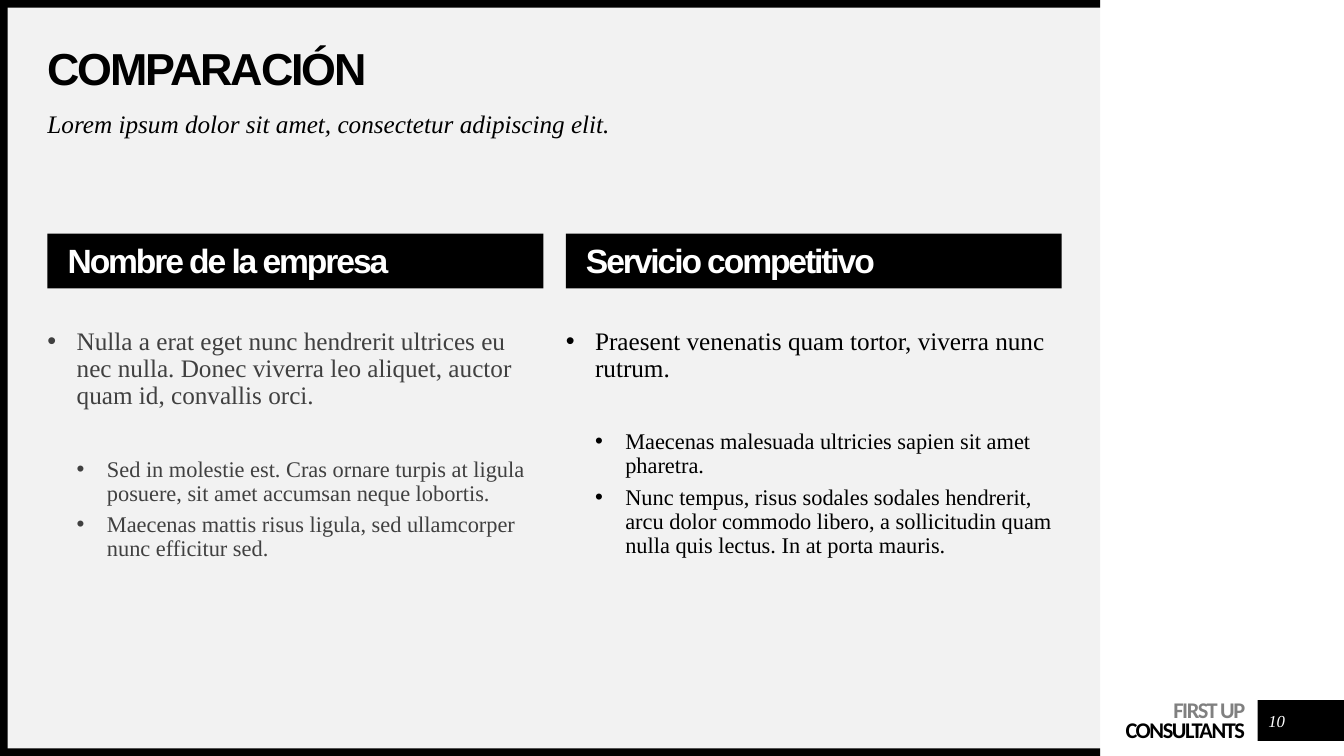
from pptx import Presentation
from pptx.dml.color import RGBColor
from pptx.enum.shapes import MSO_SHAPE as Shape
from pptx.enum.text import MSO_ANCHOR as Anchor, MSO_AUTO_SIZE as Fit, PP_ALIGN as Align
from pptx.oxml.ns import qn
from pptx.util import Inches, Pt
from lxml.etree import SubElement

BLACK = RGBColor(0x00, 0x00, 0x00)
WHITE = RGBColor(0xFF, 0xFF, 0xFF)
PALE = RGBColor(0xF2, 0xF2, 0xF2)
GRAY = RGBColor(0x80, 0x80, 0x80)
DARK = RGBColor(0x40, 0x40, 0x40)
SANS, SERIF, BRAND = "Arial", "Times New Roman", "Calibri"
WIDE, HIGH = Inches(13.33), Inches(7.5)

LEFT = (
    "Nombre de la empresa", DARK,
    ["Nulla a erat eget nunc hendrerit ultrices eu nec nulla. "
     "Donec viverra leo aliquet, auctor quam id, convallis orci.",
     "Sed in molestie est. Cras ornare turpis at ligula posuere, "
     "sit amet accumsan neque lobortis.",
     "Maecenas mattis risus ligula, sed ullamcorper nunc efficitur sed."],
)
RIGHT = (
    "Servicio competitivo", BLACK,
    ["Praesent venenatis quam tortor, viverra nunc rutrum.",
     "Maecenas malesuada ultricies sapien sit amet pharetra.",
     "Nunc tempus, risus sodales sodales hendrerit, arcu dolor commodo "
     "libero, a sollicitudin quam nulla quis lectus. In at porta mauris."],
)


def share(box):
    """Turn shares of the slide's size into lengths."""
    x, y, w, h = box
    return int(x * WIDE), int(y * HIGH), int(w * WIDE), int(h * HIGH)


def part(box, x, y, w, h):
    """Return the box that takes the given shares of another box."""
    left, top, wide, high = box
    return left + x * wide, top + y * high, w * wide, h * high


def block(slide, box, fill):
    """Draw a plain filled rectangle."""
    rect = slide.shapes.add_shape(Shape.RECTANGLE, *share(box))
    rect.shadow.inherit = False
    rect.fill.solid()
    rect.fill.fore_color.rgb = fill
    rect.line.fill.background()


def frame(shape, box, anchor=Anchor.TOP, inset=(0, 0)):
    """Place a text shape and return its cleared frame."""
    shape.left, shape.top, shape.width, shape.height = share(box)
    text = shape.text_frame
    text.word_wrap = True
    text.auto_size = Fit.NONE
    text.vertical_anchor = anchor
    text.margin_left, text.margin_top = Inches(inset[0]), Inches(inset[1])
    text.margin_right = text.margin_bottom = 0
    return text


def label(slide, box, anchor=Anchor.TOP, inset=(0, 0)):
    """Add a text box and return its frame."""
    return frame(slide.shapes.add_textbox(*share(box)), box, anchor, inset)


def write(para, text, font, size, color, bold=False, slant=False, track=0):
    """Add one run to a paragraph."""
    run = para.add_run()
    run.text = text
    face = run.font
    face.name, face.size = font, Pt(size)
    face.bold, face.italic = bold, slant
    face.color.rgb = color
    if track:
        run._r.get_or_add_rPr().set("spc", str(int(track * 100)))


def layout(para, align=Align.LEFT, line=0.9, before=0):
    """Set the alignment and spacing of a paragraph."""
    para.alignment = align
    para.line_spacing = line
    para.space_before = Pt(before)


def bullet(para, mark, left=0, hang=0):
    """Set the bullet and hanging indent; no mark means no bullet."""
    props = para._p.get_or_add_pPr()
    props.set("marL", str(Inches(left)))
    props.set("indent", str(-Inches(hang)))
    if mark:
        SubElement(props, qn("a:buFont"), typeface="Arial")
        SubElement(props, qn("a:buChar"), char=mark)
    else:
        SubElement(props, qn("a:buNone"))


def page(slide, box):
    """Draw the pale panel with its black edges."""
    block(slide, box, PALE)
    for edge in ((0, 0, 1, 0.01), (0, 0.99, 1, 0.01), (0, 0, 0.007, 1)):
        block(slide, part(box, *edge), BLACK)


def footer(slide, box):
    """Place the firm's name and the page number."""
    para = label(slide, part(box, 0, 0, 0.65, 1), inset=(0, 0.04)).paragraphs[0]
    layout(para, Align.RIGHT, Pt(14))
    write(para, "FIRST UP", BRAND, 16, GRAY, bold=True, track=-1)
    para.add_line_break()
    write(para, "CONSULTANTS", BRAND, 16, BLACK, bold=True, track=-1)
    block(slide, part(box, 0.694, 0.02, 0.306, 0.91), BLACK)
    page_no = label(slide, part(box, 0.708, 0.14, 0.107, 0.68), Anchor.MIDDLE).paragraphs[0]
    layout(page_no, Align.CENTER, 1)
    write(page_no, "10", SERIF, 12, WHITE, slant=True)


def header(slide, box):
    """Place the title and the line under it."""
    para = frame(slide.shapes.title, part(box, 0, 0, 1, 0.46), Anchor.MIDDLE).paragraphs[0]
    layout(para)
    write(para, "COMPARACIÓN", SANS, 32, BLACK, bold=True, track=-1.5)
    lead = label(slide, part(box, 0, 0.62, 1, 0.38)).paragraphs[0]
    layout(lead)
    write(lead, "Lorem ipsum dolor sit amet, consectetur adipiscing elit.",
          SERIF, 18, BLACK, slant=True)


def column(head, body, box, name, color, items):
    """Fill one side: a black heading bar over a two-level list."""
    text = frame(head, part(box, 0, 0, 1, 0.147), Anchor.MIDDLE, (0.2, 0.04))
    head.fill.solid()
    head.fill.fore_color.rgb = BLACK
    para = text.paragraphs[0]
    layout(para)
    bullet(para, "")
    write(para, name, SANS, 24, WHITE, bold=True, track=-1.5)

    text = frame(body, part(box, 0, 0.254, 1, 0.746))
    for i, item in enumerate(items):
        para = text.add_paragraph() if i else text.paragraphs[0]
        para.level = min(i, 1)
        layout(para, before=(0, 34, 5)[i])
        bullet(para, "•", *((0.59, 0.3) if i else (0.29, 0.29)))
        write(para, item, SERIF, 16 if i else 18, color)


def main():
    """Build the comparison slide."""
    deck = Presentation()
    deck.slide_width, deck.slide_height = WIDE, HIGH
    slide = deck.slides.add_slide(deck.slide_layouts[4])
    page(slide, (0, 0, 0.8185, 1))
    footer(slide, (0.79, 0.925, 0.21, 0.059))
    left, wide, side = 0.0353, 0.7547, 0.369
    header(slide, (left, 0.063, wide, 0.136))
    holes = {h.placeholder_format.idx: h for h in slide.placeholders}
    for i, data in enumerate((LEFT, RIGHT)):
        box = (left + i * (wide - side), 0.309, side, 0.494)
        column(holes[1 + 2 * i], holes[2 + 2 * i], box, *data)
    tree = slide.shapes._spTree
    for hole in holes.values():
        tree.append(hole._element)
    deck.save("out.pptx")


if __name__ == "__main__":
    main()
